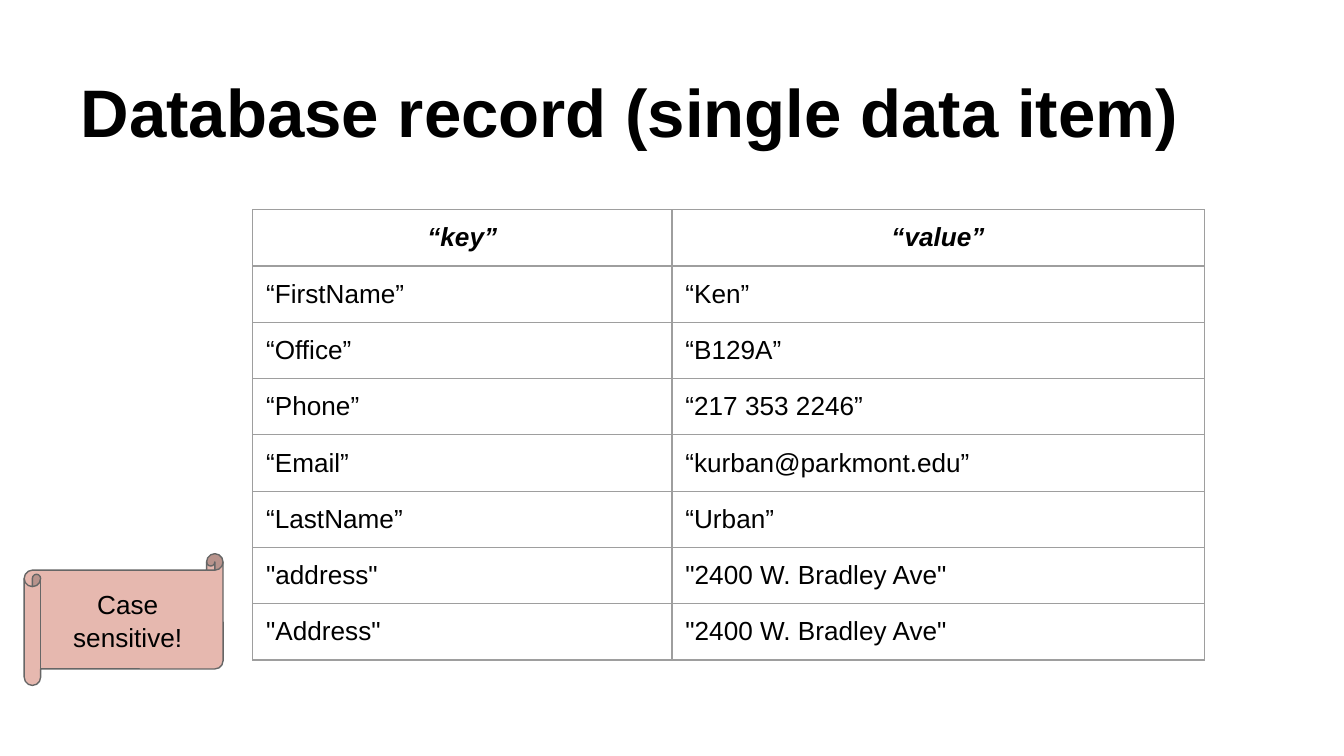
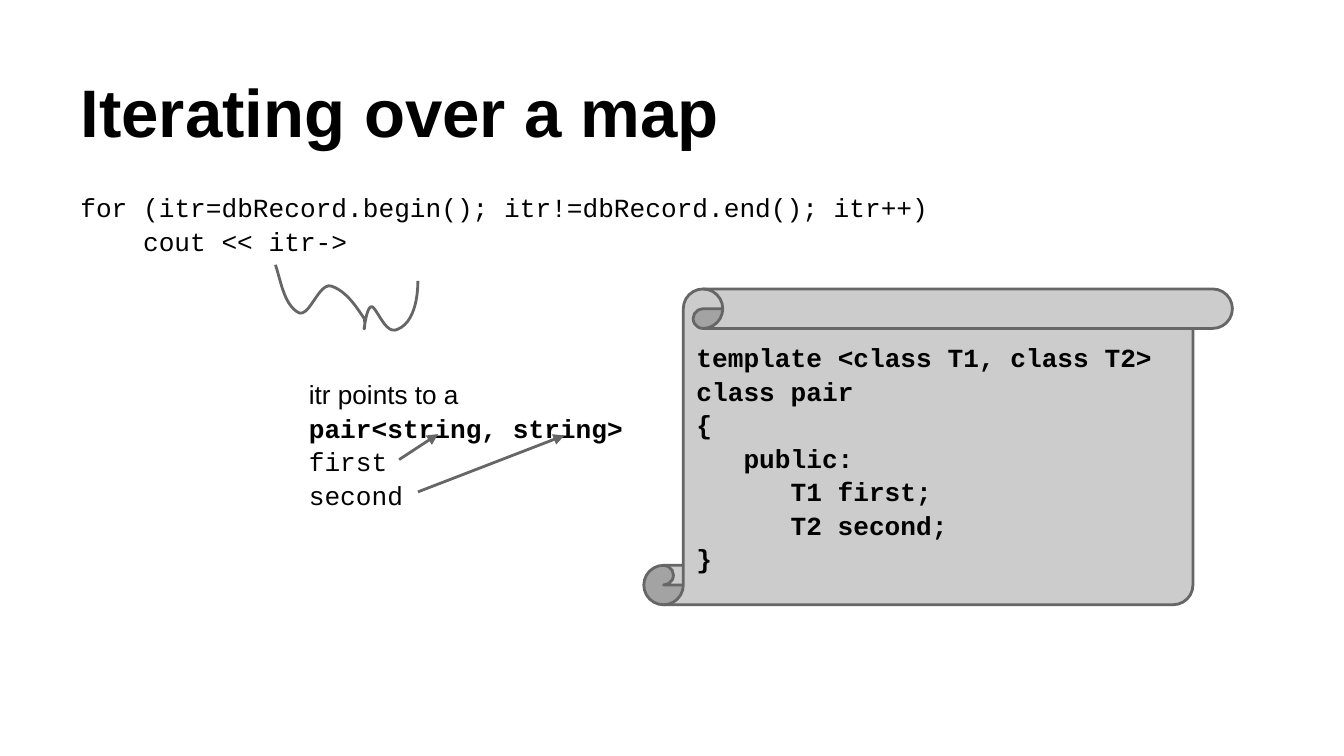
from lxml import etree
from pptx import Presentation
from pptx import util as u
from pptx.dml.color import RGBColor
from pptx.enum import shapes, text
from pptx.oxml import ns

INK, OUTLINE, RULE = "000000", "666666", "9E9E9E"
SANS, MONO = "Arial", "Courier New"
CODE_SPACE = u.Pt(14 * 0.6)
LEADING = 1.07

deck = Presentation()
deck.slide_width, deck.slide_height = u.Inches(10), u.Inches(5.625)
cell = deck.slide_width // 100


def grid(*cells):
    return [round(n * cell) for n in cells]


def paint(color_format, color):
    color_format.rgb = RGBColor.from_string(color)


slides = []
for heading in ["Database record (single data item)", "Iterating over a map"]:
    slide = deck.slides.add_slide(deck.slide_layouts[5])
    title = slide.shapes.title
    title.left, title.top, title.width, title.height = grid(5, 2.3, 90, 9.4)
    title.text_frame.text = heading
    title.text_frame.auto_size = text.MSO_AUTO_SIZE.NONE
    title.text_frame.vertical_anchor = text.MSO_ANCHOR.BOTTOM
    line = title.text_frame.paragraphs[0]
    line.alignment = text.PP_ALIGN.LEFT
    line.font.size, line.font.name, line.font.bold = u.Pt(36), SANS, True
    paint(line.font.color, INK)
    slides.append(slide)
record_slide, map_slide = slides
frames = [title.text_frame for title in (s.shapes.title for s in slides)]

record = [
    ("“key”", "“value”"),
    ("“FirstName”", "“Ken”"),
    ("“Office”", "“B129A”"),
    ("“Phone”", "“217 353 2246”"),
    ("“Email”", "“kurban@parkmont.edu”"),
    ("“LastName”", "“Urban”"),
    ('"address"', '"2400 W. Bradley Ave"'),
    ('"Address"', '"2400 W. Bradley Ave"'),
]
row_height = 4.17
fields = record_slide.shapes.add_table(
    len(record), 2, *grid(18.8, 15.6, 70.8, row_height * len(record))).table
for column, width in zip(fields.columns, grid(31.2, 39.6)):
    column.width = width
for r, pair in enumerate(record):
    fields.rows[r].height = grid(row_height)[0]
    for c, words in enumerate(pair):
        field = fields.cell(r, c)
        field.text = words
        field.margin_left = field.margin_right = u.Inches(0.1)
        field.margin_top = field.margin_bottom = u.Inches(0.1)
        line = field.text_frame.paragraphs[0]
        line.alignment = text.PP_ALIGN.LEFT if r else text.PP_ALIGN.CENTER
        line.font.size, line.font.name = u.Pt(14), SANS
        line.font.bold = line.font.italic = r == 0
        paint(line.font.color, INK)
        properties = field._tc.get_or_add_tcPr()
        for side in ("lnL", "lnR", "lnT", "lnB"):
            border = etree.SubElement(properties, ns.qn("a:" + side), w=str(u.Pt(0.75)))
            solid = etree.SubElement(border, ns.qn("a:solidFill"))
            etree.SubElement(solid, ns.qn("a:srgbClr"), val=RULE)
        field.fill.background()

scrolls = []
for slide, preset, place, fill, weight in [
    (record_slide, shapes.MSO_SHAPE.HORIZONTAL_SCROLL, (1.8, 41.2, 14.8, 9.8), "E6B8AF", 0.75),
    (map_slide, shapes.MSO_SHAPE.VERTICAL_SCROLL, (47.9, 21.5, 43.8, 23.5), "CCCCCC", 1.5),
]:
    scroll = slide.shapes.add_shape(preset, *grid(*place))
    scroll.shadow.inherit = False
    scroll.fill.solid()
    paint(scroll.fill.fore_color, fill)
    paint(scroll.line.color, OUTLINE)
    scroll.line.width = u.Pt(weight)
    scroll.text_frame.vertical_anchor = text.MSO_ANCHOR.MIDDLE
    scrolls.append(scroll.text_frame)
warning, pair_class = scrolls
loop_code = map_slide.shapes.add_textbox(*grid(5, 13.1, 90, 40.7)).text_frame
explanation = map_slide.shapes.add_textbox(*grid(22, 27, 29.4, 13.2)).text_frame

LEFT, CENTER = text.PP_ALIGN.LEFT, text.PP_ALIGN.CENTER
for frame, font, bold, align, lines in [
    (warning, SANS, False, CENTER, [(0, "Case sensitive!")]),
    (loop_code, MONO, False, LEFT, [
        (0, "for (itr=dbRecord.begin(); itr!=dbRecord.end(); itr++)"),
        (4, "cout << itr->")]),
    (pair_class, MONO, True, LEFT, [
        (0, "template <class T1, class T2>"), (0, "class pair"), (0, "{"),
        (3, "public:"), (6, "T1 first;"), (6, "T2 second;"), (0, "}")]),
    (explanation, MONO, False, LEFT, [
        (0, "itr points to a \vpair<string, string>"), (0, "first"), (0, "second")]),
]:
    frame.word_wrap = True
    frame.margin_left = frame.margin_right = u.Inches(0.1)
    frame.margin_top = frame.margin_bottom = u.Inches(0.1)
    for i, (indent, words) in enumerate(lines):
        line = frame.add_paragraph() if i else frame.paragraphs[0]
        line.text = words
        line.alignment, line.line_spacing = align, LEADING
        line.font.size, line.font.name, line.font.bold = u.Pt(14), font, bold
        paint(line.font.color, INK)
        if indent:
            line._p.get_or_add_pPr().set("marL", str(indent * CODE_SPACE))
intro, pair_type = explanation.paragraphs[0].runs
intro.font.name = SANS
pair_type.font.bold = True

curves = [
    [(20.5, 19.7), (20.9, 20.9), (21.1, 22.5), (22.1, 23.2)],
    [(22.1, 23.2), (23, 23.9), (23.7, 20.9), (24.7, 21.3)],
    [(24.7, 21.3), (25.8, 21.7), (26.5, 22.8), (27.1, 23.7)],
    [(27.1, 23.7), (27.2, 24), (27.1, 24.7), (27.1, 24.4)],
    [(27.1, 24.4), (27.2, 23.8), (27.4, 22.5), (27.8, 22.9)],
    [(27.8, 22.9), (28.3, 23.5), (28.8, 24.9), (29.6, 24.5)],
    [(29.6, 24.5), (30.8, 24), (31.1, 22.2), (31.1, 20.9)],
]
STEPS = 12
points = []
for curve in curves:
    for step in range(1, STEPS + 1):
        t = step / STEPS
        weights = [(1 - t) ** 3, 3 * t * (1 - t) ** 2, 3 * t * t * (1 - t), t ** 3]
        points.append(grid(*(sum(w * p[axis] for w, p in zip(weights, curve)) for axis in (0, 1))))
outline = map_slide.shapes.build_freeform(*grid(*curves[0][0]))
outline.add_line_segments(points, close=False)
squiggle = outline.convert_to_shape()
squiggle.shadow.inherit = False
squiggle.fill.background()
paint(squiggle.line.color, OUTLINE)
squiggle.line.width = u.Pt(1.5)

for ends in [(29.7, 34.2, 32.6, 32.3), (31.1, 36.6, 42, 32.4)]:
    arrow = map_slide.shapes.add_connector(shapes.MSO_CONNECTOR.STRAIGHT, *grid(*ends))
    paint(arrow.line.color, OUTLINE)
    arrow.line.width = u.Pt(1.5)
    etree.SubElement(arrow.line._get_or_add_ln(), ns.qn("a:tailEnd"), type="triangle", w="med", len="med")
    etree.SubElement(arrow._element.spPr, ns.qn("a:effectLst"))

deck.save("out.pptx")
